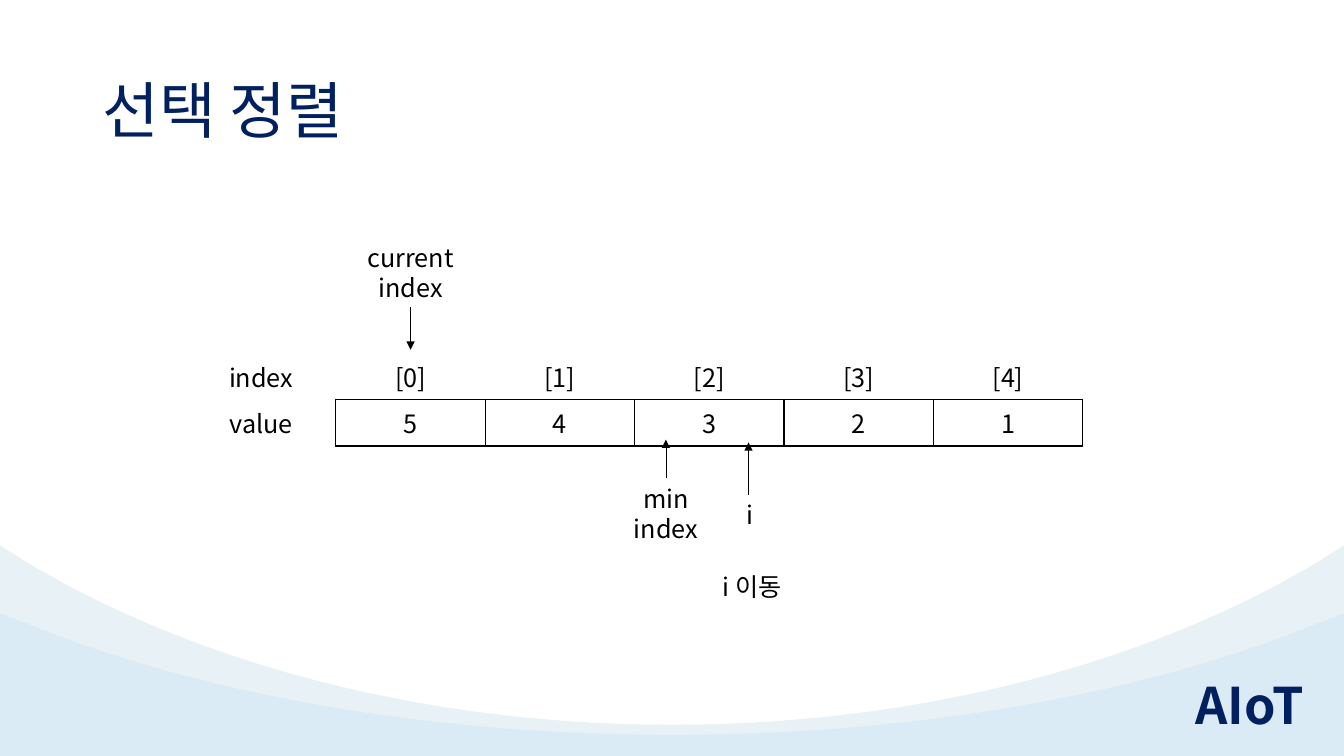
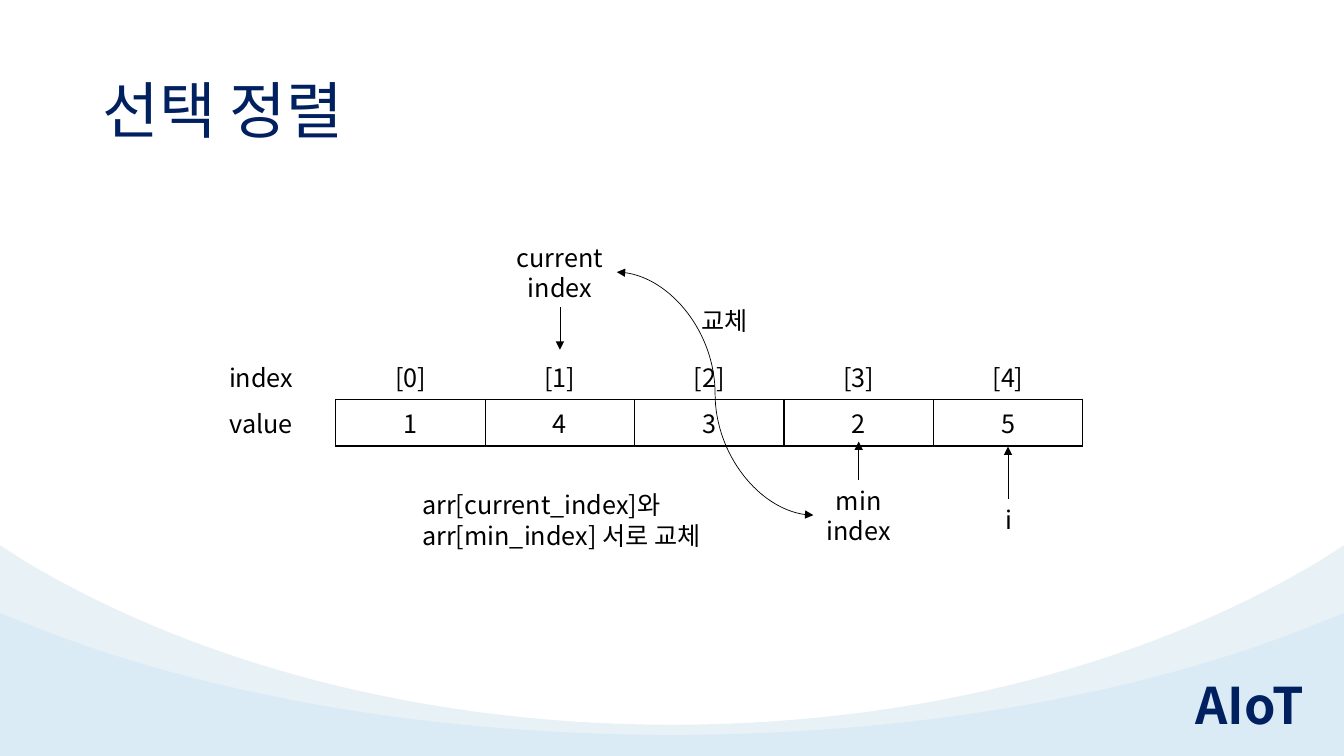
from lxml import etree
from pptx import Presentation
from pptx.dml.color import RGBColor
from pptx.enum.shapes import MSO_CONNECTOR
from pptx.enum.text import MSO_ANCHOR, PP_ALIGN
from pptx.oxml.ns import qn
from pptx.util import Pt

STRAIGHT, CURVE = MSO_CONNECTOR.STRAIGHT, MSO_CONNECTOR.CURVE
LEFT, CENTER = PP_ALIGN.LEFT, PP_ALIGN.CENTER
MIDDLE = MSO_ANCHOR.MIDDLE
FONT = "Noto Sans CJK KR"
COLORS = {"navy": "002060", "black": "000000", "white": "FFFFFF",
          "pale": "E8F1F6", "sky": "7AC2F9"}

# Content: columns are array indexes, "shift" moves a pointer off its column centre
TITLE = "선택 정렬"
FOOTER = "AIoT"
STEPS = [
    {"values": [5, 4, 3, 2, 1], "current": 0,
     "min": {"column": 2, "shift": -31, "tip": 314},
     "i": {"column": 2, "shift": 28, "tip": 316},
     "swap": None,
     "notes": [("i 이동", (509, 404.6, 64, 29), True)]},
    {"values": [1, 4, 3, 2, 5], "current": 1,
     "min": {"column": 3, "shift": 0, "tip": 315.4},
     "i": {"column": 4, "shift": 0, "tip": 319},
     "swap": ((440.6, 194.4), (581, 368)),
     "notes": [("교체", (494, 214.6, 51, 29), False),
               ("arr[current_index]와 arr[min_index] 서로 교체",
                (294.5, 346.3, 219, 51), True)]},
]

# Layout
SLIDE_W, SLIDE_H = 960, 540
TABLE_X, TABLE_Y, COL_W, ROW_H = 133.2, 252, 106.7, 29.2
# Left half of each band's upper edge: corner, curve start, two controls, middle
BANDS = [
    ([(0, 389.5), (18, 401), (139.7, 473.8), (302.4, 517.7), (480, 517.7)],
     "pale", None),
    ([(0, 437.8), (18, 445), (139.7, 494.6), (302.4, 524.9), (480, 524.9)],
     "sky", 11),
]


def color(name):
    return RGBColor.from_string(COLORS[name])


def write(frame, text, size=18, ink="black", bold=False, align=LEFT,
          spacing=None, wrap=True):
    frame.word_wrap = wrap
    paragraph = frame.paragraphs[0]
    paragraph.text = text
    paragraph.alignment = align
    paragraph.line_spacing = spacing
    for run in paragraph.runs:
        font = run.font
        font.name, font.size, font.bold = FONT, Pt(size), bold
        font.color.rgb = color(ink)
        east_asian = etree.Element(qn("a:ea"), typeface=FONT)
        font.fill  # the fill stays ahead of the typefaces
        run.font._element.find(qn("a:latin")).addnext(east_asian)


def add_label(slide, text, box, **style):
    label = slide.shapes.add_textbox(*map(Pt, box))
    write(label.text_frame, text, **style)
    return label


def add_arrow(slide, start, end, kind=STRAIGHT, both_ends=False):
    arrow = slide.shapes.add_connector(kind, *map(Pt, start + end))
    arrow.line.width = Pt(0.5)
    arrow.line.color.rgb = color("black")
    line = arrow.line._get_or_add_ln()
    for end_name in ("headEnd", "tailEnd") if both_ends else ("tailEnd",):
        etree.SubElement(line, qn(f"a:{end_name}"), type="triangle")
    etree.SubElement(arrow.element.spPr, qn("a:effectLst"))


def band_edge(corner, *curve, steps=30):
    """Sample the left curve and mirror it to the right."""
    points = [corner]
    for step in range(steps + 1):
        t = step / steps
        weights = ((1 - t) ** 3, 3 * t * (1 - t) ** 2, 3 * t * t * (1 - t), t ** 3)
        points.append(tuple(sum(w * p[axis] for w, p in zip(weights, curve))
                            for axis in (0, 1)))
    return points + [(SLIDE_W - x, y) for x, y in reversed(points[:-1])]


def add_band(slide, edge, fill, alpha):
    outline = band_edge(*edge) + [(SLIDE_W, SLIDE_H), (0, SLIDE_H)]
    points = [(Pt(x), Pt(y)) for x, y in outline]
    builder = slide.shapes.build_freeform(*points[0])
    builder.add_line_segments(points[1:], close=True)
    band = builder.convert_to_shape()
    band.shadow.inherit = False
    band.line.fill.background()
    band.fill.solid()
    band.fill.fore_color.rgb = color(fill)
    if alpha:
        tint = band.element.spPr.find(".//" + qn("a:srgbClr"))
        etree.SubElement(tint, qn("a:alpha"), val=str(alpha * 1000))
    return band


def share_backdrop(slide):
    """Draw the bands and footer once and move them to the layout."""
    backdrop = [add_band(slide, *band) for band in BANDS]
    backdrop.append(add_label(slide, FOOTER, (846.7, 478, 95, 51), size=36,
                              ink="navy", bold=True, wrap=False))
    tree = slide.slide_layout.shapes.element
    for place, part in enumerate(backdrop, start=2):
        tree.insert(place, part.element)


def set_borders(cell, sides):
    properties = cell._tc.get_or_add_tcPr()
    for place, side in enumerate("LRTB"):
        border = etree.Element(qn(f"a:ln{side}"), w=str(Pt(1)))
        if side in sides:
            fill = etree.SubElement(border, qn("a:solidFill"))
            etree.SubElement(fill, qn("a:srgbClr"), val=COLORS["black"])
        else:
            etree.SubElement(border, qn("a:noFill"))
        properties.insert(place, border)


def add_array(slide, values):
    rows = [["index"] + [f"[{n}]" for n in range(len(values))],
            ["value"] + [str(value) for value in values]]
    columns = len(rows[0])
    array = slide.shapes.add_table(
        len(rows), columns, Pt(TABLE_X), Pt(TABLE_Y),
        Pt(COL_W * columns), Pt(ROW_H * len(rows))).table
    array.first_row = array.horz_banding = False
    for column in array.columns:
        column.width = Pt(COL_W)
    for r, row in enumerate(rows):
        array.rows[r].height = Pt(ROW_H)
        for c, text in enumerate(row):
            cell = array.cell(r, c)
            write(cell.text_frame, text, align=CENTER)
            cell.fill.solid()
            cell.fill.fore_color.rgb = color("white")
            if r == 0:
                set_borders(cell, "B" if c else "")
            else:
                set_borders(cell, "LRTB" if c else "R")


def column_center(index):
    return TABLE_X + COL_W * (index + 1.5)


def add_pointer_below(slide, text, pointer, length, width, height, align):
    x = column_center(pointer["column"]) + pointer["shift"]
    base = pointer["tip"] + length
    add_arrow(slide, (x, base), (x, pointer["tip"]))
    add_label(slide, text, (x - width / 2, base, width, height), align=align)


def add_step(slide, step):
    title = slide.shapes.title
    title.text_frame.vertical_anchor = MIDDLE
    write(title.text_frame, TITLE, size=44, ink="navy", spacing=0.9)
    add_array(slide, step["values"])

    # Pointers
    x = column_center(step["current"])
    add_arrow(slide, (x, 219.6), (x, 249.8))
    add_label(slide, "current index", (x - 41.75, 169.2, 83.5, 51), align=CENTER)
    add_pointer_below(slide, "min\nindex", step["min"], 27.4, 67, 51, CENTER)
    add_pointer_below(slide, "i", step["i"], 37.4, 17.3, 29, LEFT)

    # Swap arrow and remarks
    if step["swap"]:
        add_arrow(slide, *step["swap"], kind=CURVE, both_ends=True)
    for text, box, wrap in step["notes"]:
        add_label(slide, text, box, wrap=wrap)


def main():
    deck = Presentation()
    deck.slide_width, deck.slide_height = Pt(SLIDE_W), Pt(SLIDE_H)
    layout = deck.slide_layouts[5]
    heading = layout.placeholders[0]
    heading.left, heading.top, heading.width, heading.height = map(
        Pt, (66, 28.8, 828, 104.4))
    for number, step in enumerate(STEPS):
        slide = deck.slides.add_slide(layout)
        if number == 0:
            share_backdrop(slide)
        add_step(slide, step)
    deck.save("out.pptx")


if __name__ == "__main__":
    main()
